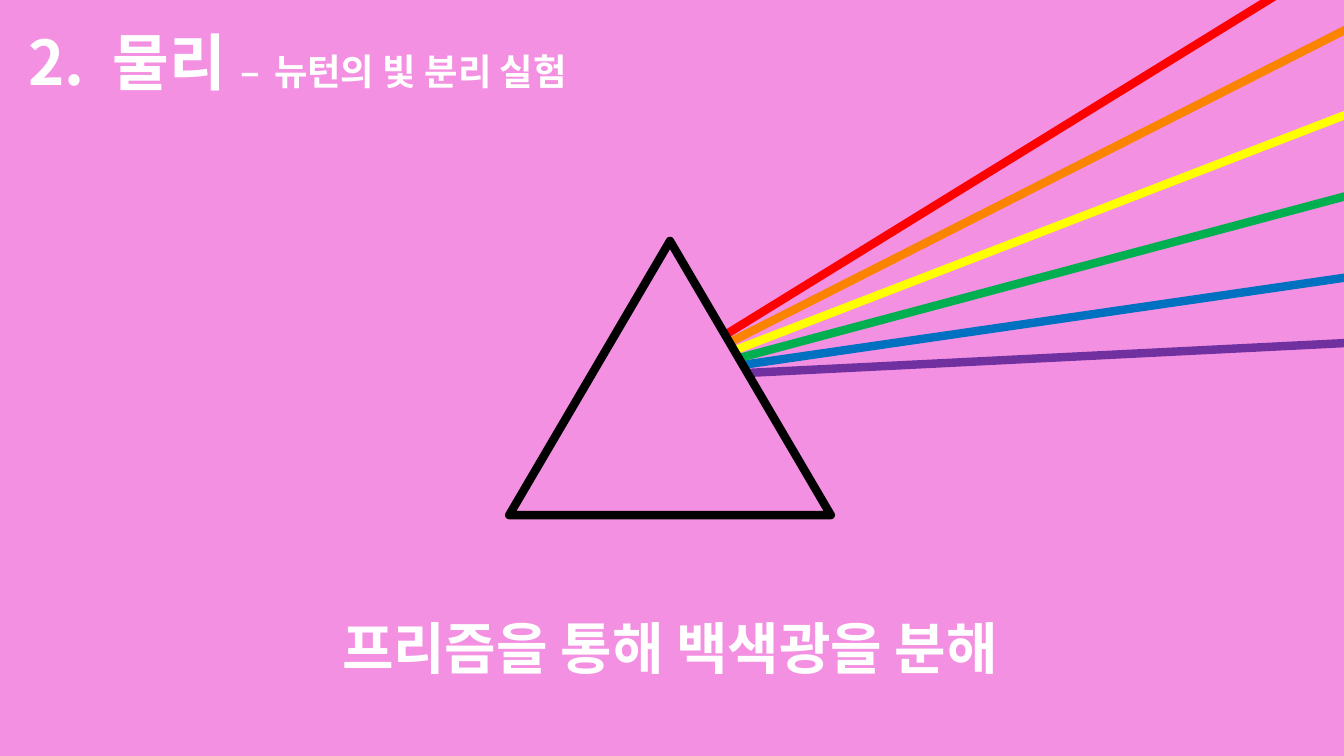
from lxml.etree import SubElement
from pptx import Presentation
from pptx.dml.color import RGBColor
from pptx.enum.shapes import MSO_CONNECTOR, MSO_SHAPE
from pptx.enum.text import MSO_ANCHOR, MSO_AUTO_SIZE, PP_ALIGN
from pptx.oxml.ns import qn
from pptx.util import Inches, Pt

FONT = "Noto Sans CJK KR"
PINK = RGBColor(0xF4, 0x90, 0xE1)
WHITE = RGBColor(0xFF, 0xFF, 0xFF)
BLACK = RGBColor(0x00, 0x00, 0x00)
RED = RGBColor(0xFF, 0x00, 0x00)
ORANGE = RGBColor(0xFA, 0x83, 0x00)
YELLOW = RGBColor(0xFF, 0xFF, 0x00)
GREEN = RGBColor(0x00, 0xB0, 0x50)
BLUE = RGBColor(0x00, 0x70, 0xC0)
PURPLE = RGBColor(0x70, 0x30, 0xA0)
LINE_WIDTH = Pt(6)

# Colour, start on the prism, end beyond the right edge
RAYS = [
    (PURPLE, (7.41, 3.7), (13.41, 3.4)),
    (BLUE, (7.37, 3.62), (13.44, 2.74)),
    (GREEN, (7.3, 3.56), (13.37, 1.94)),
    (YELLOW, (7.3, 3.47), (13.37, 1.13)),
    (ORANGE, (7.23, 3.4), (13.65, 0.14)),
    (RED, (7.18, 3.33), (12.92, -0.21)),
]


def add_run(p, text, size, spacing=0):
    """Add a bold white run; spacing is extra points after each letter."""
    r = p.add_run()
    r.text = text
    r.font.size = Pt(size)
    r.font.bold = True
    r.font.color.rgb = WHITE
    r.font.name = FONT
    rPr = r.font._element
    SubElement(rPr, qn("a:ea")).set("typeface", FONT)
    if spacing:
        rPr.set("spc", str(spacing * 100))


def format_frame(tf, align):
    tf.word_wrap = True
    tf.auto_size = MSO_AUTO_SIZE.NONE
    tf.vertical_anchor = MSO_ANCHOR.TOP
    p = tf.paragraphs[0]
    p.alignment = align
    return p


def set_title(s):
    title = s.shapes.title
    title.left, title.top = Inches(0.18), Inches(0.19)
    title.width, title.height = Inches(12.9), Inches(0.84)
    p = format_frame(title.text_frame, PP_ALIGN.LEFT)
    add_run(p, "2.", 44)
    add_run(p, " ", 44, spacing=10)
    add_run(p, "물리 ", 44)
    add_run(p, "–", 26)
    add_run(p, " ", 44)
    add_run(p, "뉴턴의 빛 분리 실험", 26)


def add_ray(s, color, start, end):
    x1, y1, x2, y2 = (Inches(v) for v in start + end)
    ray = s.shapes.add_connector(MSO_CONNECTOR.STRAIGHT, x1, y1, x2, y2)
    ray.line.color.rgb = color
    ray.line.width = LINE_WIDTH
    SubElement(ray._element.spPr, qn("a:effectLst"))


def add_prism(s):
    prism = s.shapes.add_shape(MSO_SHAPE.ISOSCELES_TRIANGLE, Inches(5.05),
                               Inches(2.39), Inches(3.19), Inches(2.72))
    prism.shadow.inherit = False
    prism.fill.background()
    prism.line.color.rgb = BLACK
    prism.line.width = LINE_WIDTH


def add_caption(s, text):
    box = s.shapes.add_textbox(Inches(2.82), Inches(6.04),
                               Inches(7.65), Inches(0.77))
    add_run(format_frame(box.text_frame, PP_ALIGN.CENTER), text, 40)


def main():
    prs = Presentation()
    prs.slide_width, prs.slide_height = Inches(13.33), Inches(7.5)
    s = prs.slides.add_slide(prs.slide_layouts.get_by_name("Title Only"))
    s.background.fill.solid()
    s.background.fill.fore_color.rgb = PINK

    for color, start, end in RAYS:
        add_ray(s, color, start, end)
    set_title(s)
    add_caption(s, "프리즘을 통해 백색광을 분해")
    add_prism(s)
    prs.save("out.pptx")


if __name__ == "__main__":
    main()
